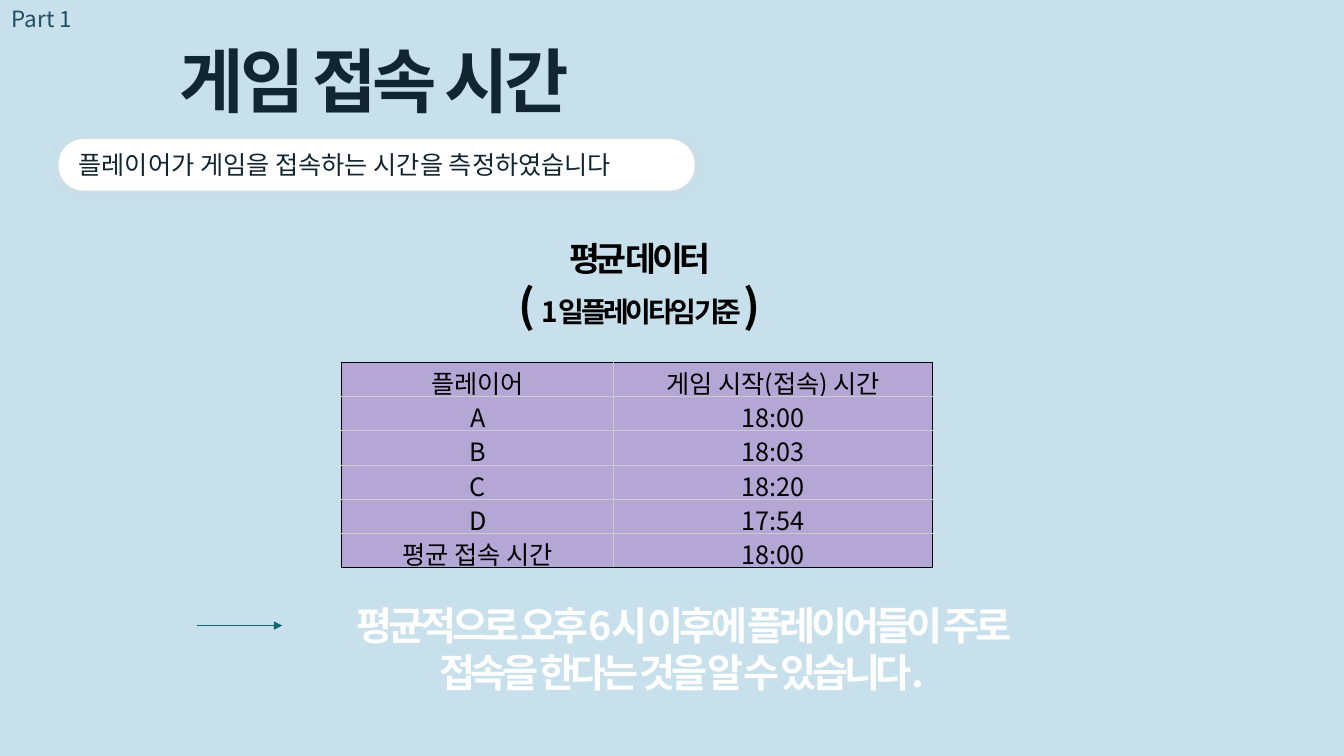
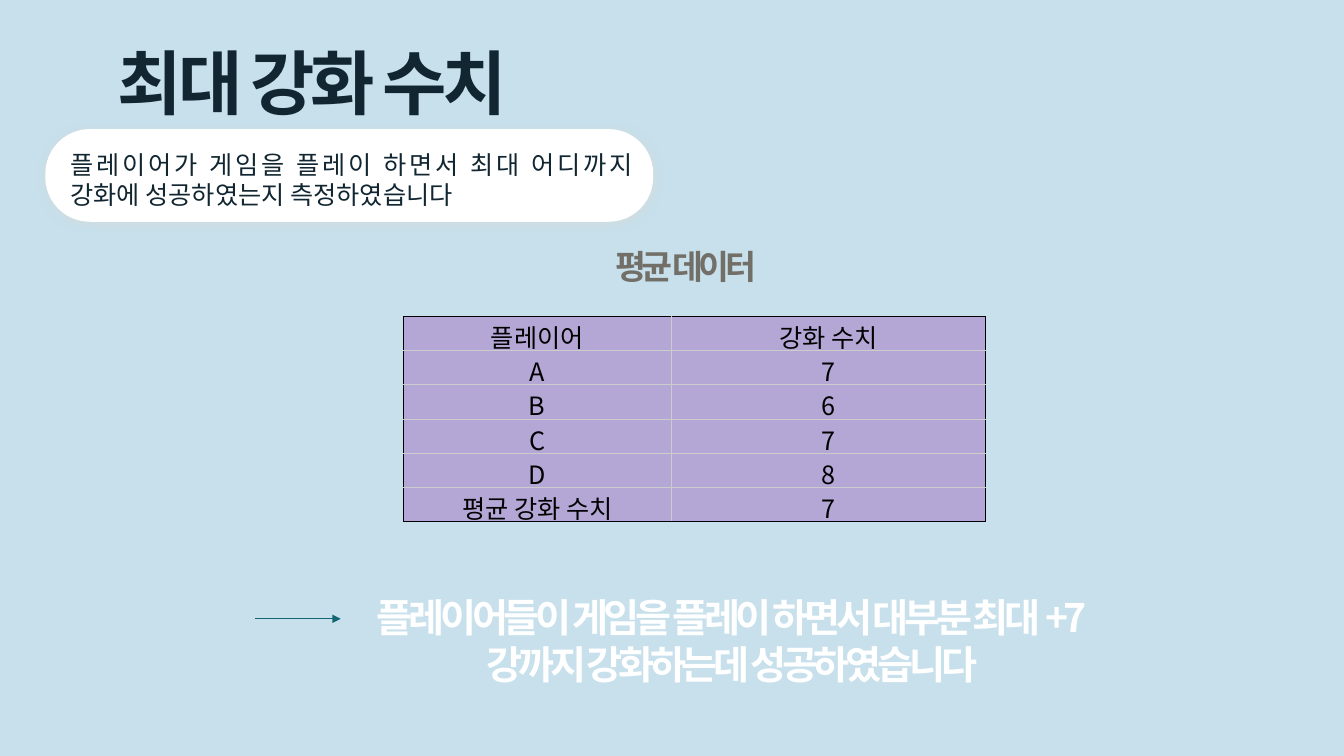
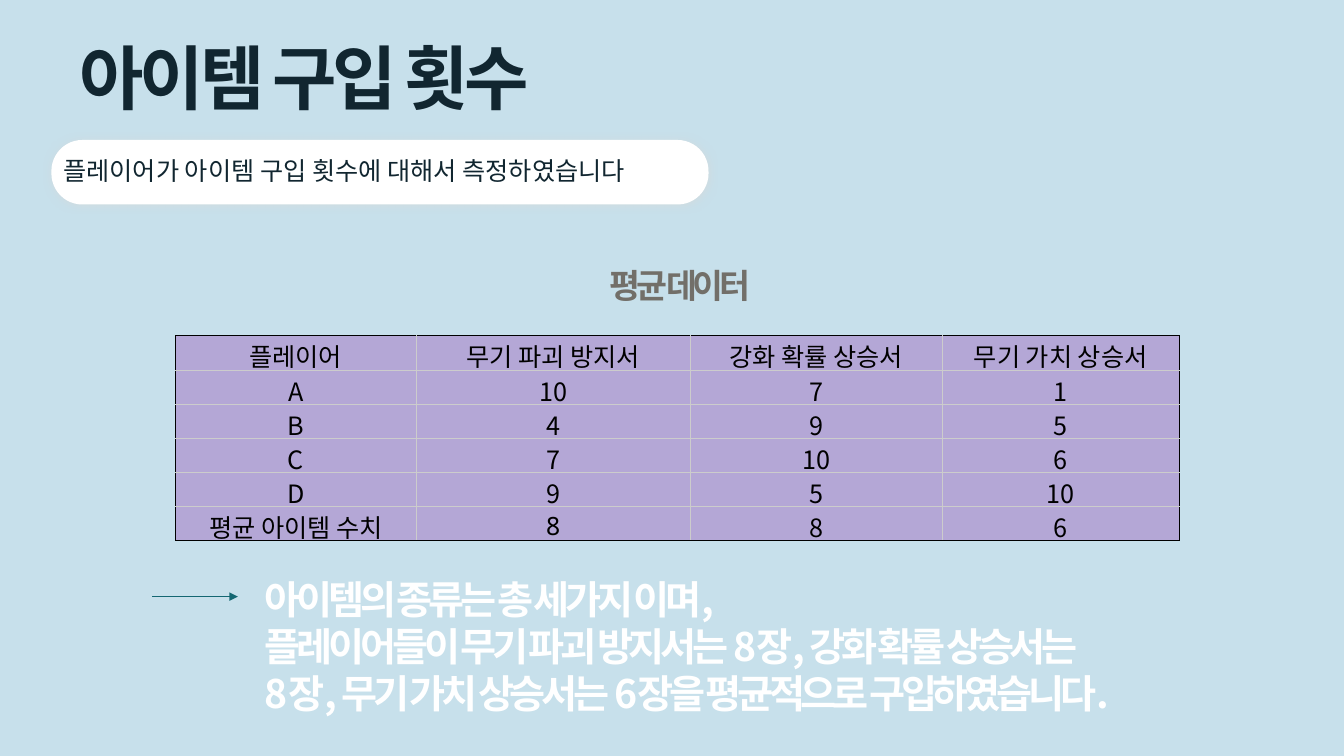
from lxml.etree import SubElement
from pptx import Presentation
from pptx.dml.color import RGBColor
from pptx.enum.shapes import MSO_CONNECTOR, MSO_SHAPE
from pptx.enum.text import MSO_ANCHOR, MSO_AUTO_SIZE, PP_ALIGN
from pptx.oxml import parse_xml
from pptx.oxml.ns import nsdecls, qn
from pptx.util import Pt

BACKGROUND = RGBColor(0xC7, 0xE0, 0xEB)
INK = RGBColor(0x11, 0x26, 0x30)
PART_BLUE = RGBColor(0x22, 0x4D, 0x60)
ARROW_TEAL = RGBColor(0x14, 0x67, 0x72)
HEADING_GREY = RGBColor(0x72, 0x6F, 0x69)
LILAC = RGBColor(0xB4, 0xA7, 0xD6)
GRID_GREY = RGBColor(0xCC, 0xCC, 0xCC)
SHADOW_GREY = RGBColor(0xD9, 0xD9, 0xD9)
BLACK = RGBColor(0, 0, 0)
WHITE = RGBColor(0xFF, 0xFF, 0xFF)

FONT = "Noto Sans CJK KR"
MONO = "Noto Sans Mono"
LEFT, CENTER, JUSTIFY = PP_ALIGN.LEFT, PP_ALIGN.CENTER, PP_ALIGN.JUSTIFY

TITLE = {"size": Pt(50), "bold": True, "color": INK, "spacing": -3}
NOTE = {"size": Pt(18), "color": INK}
PART = {"size": Pt(16), "color": PART_BLUE}
HEADING = {"size": Pt(24), "bold": True, "color": HEADING_GREY, "spacing": -3}
CONCLUSION = {"size": Pt(28), "bold": True, "color": WHITE, "spacing": -3}
CELL = {"size": Pt(18), "color": BLACK}

ROW_HEIGHT = 24
ARROW_LENGTH = 61.2


def format_run(r, style, font=FONT):
    r.font.name = font
    for name, value in style.items():
        if name == "color":
            r.font.color.rgb = value
        elif name == "spacing":
            r.font._element.set("spc", str(value * 100))
        else:
            setattr(r.font, name, value)
    ea = SubElement(r.font._element, qn("a:ea"))
    ea.set("typeface", font)


def write(tf, paragraphs, style, align=LEFT):
    """Each paragraph is a string or a list of (text, size) runs."""
    for i, runs in enumerate(paragraphs):
        p = tf.paragraphs[0] if i == 0 else tf.add_paragraph()
        p.alignment = align
        if isinstance(runs, str):
            runs = [(runs, None)]
        for text, size in runs:
            r = p.add_run()
            r.text = text
            format_run(r, style | ({"size": Pt(size)} if size else {}))


def place(sp, box):
    sp.left, sp.top, sp.width, sp.height = map(Pt, box)


def add_text(shapes, box, paragraphs, style, align=LEFT, wrap=True):
    tf = shapes.add_textbox(*map(Pt, box)).text_frame
    tf.word_wrap = wrap
    tf.auto_size = MSO_AUTO_SIZE.SHAPE_TO_FIT_TEXT
    write(tf, paragraphs, style, align)


def add_title(s, box, text, align):
    sp = s.shapes.title
    place(sp, box)
    tf = sp.text_frame
    tf.word_wrap = True
    tf.auto_size = MSO_AUTO_SIZE.SHAPE_TO_FIT_TEXT
    tf.vertical_anchor = MSO_ANCHOR.TOP
    write(tf, [text], TITLE, align)


def add_note(s, pill_box, text_box, text, align):
    """White pill with a soft shadow and the measuring note on it."""
    group = s.shapes.add_group_shape()
    pill = group.shapes.add_shape(MSO_SHAPE.ROUNDED_RECTANGLE, *map(Pt, pill_box))
    pill.adjustments[0] = 0.48
    pill.fill.solid()
    pill.fill.fore_color.rgb = WHITE
    pill.line.fill.background()
    pill.shadow.inherit = False
    effects = pill._element.spPr.find(qn("a:effectLst"))
    effects.append(parse_xml(
        f'<a:outerShdw {nsdecls("a")} blurRad="{Pt(6)}" dist="{Pt(1)}" dir="2700000"'
        f' algn="tl" rotWithShape="0"><a:srgbClr val="{SHADOW_GREY}">'
        '<a:alpha val="60000"/></a:srgbClr></a:outerShdw>'))
    add_text(group.shapes, text_box, [text], NOTE, align)


def add_arrow(s, x, y):
    c = s.shapes.add_connector(
        MSO_CONNECTOR.STRAIGHT, Pt(x), Pt(y), Pt(x + ARROW_LENGTH), Pt(y))
    c.line.color.rgb = ARROW_TEAL
    c.line.width = Pt(0.5)
    SubElement(c.line._get_or_add_ln(), qn("a:tailEnd")).set("type", "triangle")
    SubElement(c._element.spPr, qn("a:effectLst"))


def set_borders(cell, outer):
    """Black on the sides named in outer, grey on the others."""
    tcPr = cell._tc.get_or_add_tcPr()
    for i, side in enumerate("LRTB"):
        color = BLACK if side in outer else GRID_GREY
        tcPr.insert(i, parse_xml(
            f'<a:ln{side} {nsdecls("a")} w="{Pt(0.6)}"><a:solidFill>'
            f'<a:srgbClr val="{color}"/></a:solidFill></a:ln{side}>'))


def add_data_table(s, x, y, widths, rows, first_height=ROW_HEIGHT):
    heights = [first_height] + [ROW_HEIGHT] * (len(rows) - 1)
    table = s.shapes.add_table(
        len(rows), len(widths), Pt(x), Pt(y), Pt(sum(widths)), Pt(sum(heights))).table
    table.first_row = table.horz_banding = False
    for column, width in zip(table.columns, widths):
        column.width = Pt(width)
    last_row, last_col = len(rows) - 1, len(widths) - 1
    for i, values in enumerate(rows):
        table.rows[i].height = Pt(heights[i])
        for j, value in enumerate(values):
            cell = table.cell(i, j)
            cell.margin_left = cell.margin_right = Pt(2.2)
            cell.margin_top = cell.margin_bottom = Pt(1.4)
            cell.vertical_anchor = MSO_ANCHOR.BOTTOM
            cell.fill.solid()
            cell.fill.fore_color.rgb = LILAC
            write(cell.text_frame, [value], CELL, CENTER)
            edges = {"L": j == 0, "R": j == last_col, "T": i == 0, "B": i == last_row}
            set_borders(cell, [side for side, is_outer in edges.items() if is_outer])
    return table


def add_heading(s, x, y, paragraphs=("평균 데이터",), height=36, color=HEADING_GREY):
    add_text(s.shapes, (x, y, 383.8, height), paragraphs,
             HEADING | {"color": color}, CENTER)


def build_login_time(s):
    add_title(s, (20.2, 23, 494.6, 67.7), "게임 접속 시간", CENTER)
    add_note(s, (41.8, 99.4, 454.3, 36.7), (49, 103, 529.2, 28.8),
             "플레이어가 게임을 접속하는 시간을 측정하였습니다", LEFT)
    add_arrow(s, 140.4, 446.8)
    add_heading(s, 265, 166.3,
                ["평균 데이터", [("( ", 32), ("1일 플레이 타임 기준 ", 20), (")", 32)]],
                height=74.9, color=BLACK)
    add_text(s.shapes, (213.8, 426.2, 546.5, 74.9),
             ["평균적으로 오후6시 이후에 플레이어들이 주로 접속을 한다는 것을 알 수 있습니다."],
             CONCLUSION, CENTER)
    add_text(s.shapes, (1.4, 0, 58.3, 26.6), ["Part 1"], PART, wrap=False)
    add_data_table(s, 244, 258.5, [194.4, 227.5], [
        ("플레이어", "게임 시작(접속) 시간"),
        ("A", "18:00"),
        ("B", "18:03"),
        ("C", "18:20"),
        ("D", "17:54"),
        ("평균 접속 시간", "18:00"),
    ], first_height=24.8)


def build_max_upgrade(s):
    add_title(s, (77, 24.5, 330.5, 67.7), "최대 강화 수치", LEFT)
    add_note(s, (32.4, 92.2, 434.2, 66.2), (43.2, 103, 416.2, 51.1),
             "플레이어가 게임을 플레이 하면서 최대 어디까지 강화에 성공하였는지 측정하였습니다",
             JUSTIFY)
    add_arrow(s, 182.2, 442)
    add_heading(s, 298, 172)
    add_data_table(s, 288, 226, [191.5, 224.6], [
        ("플레이어", "강화 수치"),
        ("A", "7"),
        ("B", "6"),
        ("C", "7"),
        ("D", "8"),
        ("평균 강화 수치", "7"),
    ])
    add_text(s.shapes, (240.5, 420.5, 564.5, 74.9),
             ["플레이어들이 게임을 플레이 하면서 대부분 최대 +7강까지 강화하는데 성공하였습니다"],
             CONCLUSION, CENTER)


def build_item_purchases(s):
    add_title(s, (49.7, 20.9, 393.8, 67.7), "아이템 구입 횟수", LEFT)
    add_note(s, (36.7, 100, 469.4, 46.1), (38.2, 107.3, 469.4, 28.8),
             "플레이어가 아이템 구입 횟수에 대해서 측정하였습니다", JUSTIFY)
    add_arrow(s, 108.7, 426.2)
    add_heading(s, 293.8, 185.8)
    table = add_data_table(s, 125.3, 239.8, [172, 195.8, 180, 169.2], [
        ("플레이어", "무기 파괴 방지서", "강화 확률 상승서", "무기 가치 상승서"),
        ("A", "10", "7", "1"),
        ("B", "4", "9", "5"),
        ("C", "7", "10", "6"),
        ("D", "9", "5", "10"),
        ("평균 아이템 수치", "8", "8", "6"),
    ])
    table.cell(5, 1).text_frame.paragraphs[0].runs[0].font.name = MONO
    add_text(s.shapes, (182.2, 407.5, 672.5, 108.7), [
        "아이템의 종류는 총 세가지 이며,",
        "플레이어들이 무기 파괴 방지서는 8장, 강화 확률 상승서는",
        "8장, 무기 가치 상승서는 6장을 평균적으로 구입하였습니다.",
    ], CONCLUSION, wrap=False)


def main():
    prs = Presentation()
    prs.slide_width, prs.slide_height = Pt(960), Pt(540)
    fill = prs.slide_master.background.fill
    fill.solid()
    fill.fore_color.rgb = BACKGROUND
    for build in (build_login_time, build_max_upgrade, build_item_purchases):
        build(prs.slides.add_slide(prs.slide_layouts[5]))
    prs.save("out.pptx")


if __name__ == "__main__":
    main()
